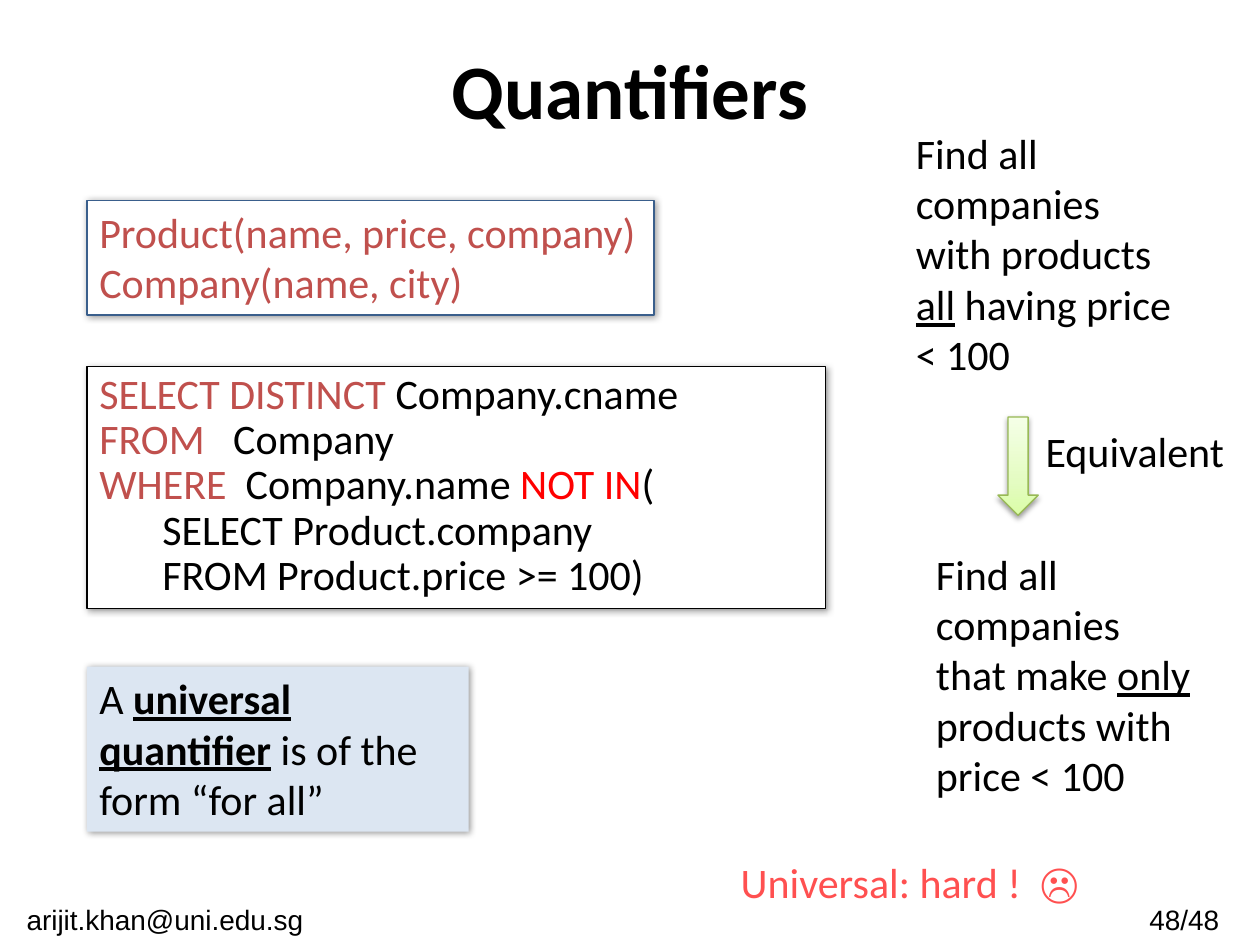
from lxml.etree import SubElement
from pptx import Presentation
from pptx.dml.color import RGBColor
from pptx.enum.shapes import MSO_SHAPE
from pptx.enum.text import MSO_ANCHOR, MSO_AUTO_SIZE, PP_ALIGN
from pptx.oxml import parse_xml
from pptx.oxml.ns import nsdecls, qn
from pptx.util import Inches, Pt

BLACK = RGBColor(0x00, 0x00, 0x00)
WHITE = RGBColor(0xFF, 0xFF, 0xFF)
BRICK = RGBColor(0xC0, 0x50, 0x4D)
RED = RGBColor(0xFF, 0x00, 0x00)
CORAL = RGBColor(0xFF, 0x50, 0x50)
NAVY = RGBColor(0x3A, 0x5F, 0x8C)
PALE_BLUE = RGBColor(0xDC, 0xE6, 0xF2)
GREEN = RGBColor(0x98, 0xB9, 0x55)
ARROW_STOPS = ((0, RGBColor(0xDA, 0xFD, 0xA7)), (35, RGBColor(0xE4, 0xFC, 0xC2)),
               (100, RGBColor(0xF5, 0xFF, 0xE7)))

COLUMN = Inches(0.1)
ROW = Inches(0.1)


def place(box, left, top, width, height):
    return (round((box[0] + left) * COLUMN), round((box[1] + top) * ROW),
            round(width * COLUMN), round(height * ROW))


def write(shape, lines, size=24, font="Calibri", align=PP_ALIGN.LEFT,
          wrap=True, grow=True, spacing=None):
    frame = shape.text_frame
    frame.word_wrap = wrap
    frame.auto_size = MSO_AUTO_SIZE.SHAPE_TO_FIT_TEXT if grow else MSO_AUTO_SIZE.NONE
    for index, line in enumerate(lines):
        paragraph = frame.add_paragraph() if index else frame.paragraphs[0]
        paragraph.alignment = align
        paragraph.line_spacing = spacing
        for text, color, *styles in line:
            run = paragraph.add_run()
            run.text = text
            run.font.name = font
            run.font.size = Pt(size)
            run.font.color.rgb = color
            run.font.bold = "bold" in styles
            run.font.underline = "underline" in styles


def add_text(slide, position, lines, **options):
    write(slide.shapes.add_textbox(*position), lines, **options)


def add_shadow(shape, alpha, blur, distance, angle):
    shape.shadow.inherit = False
    effects = shape._element.spPr.find(qn("a:effectLst"))
    shadow = SubElement(effects, qn("a:outerShdw"), blurRad=str(Pt(blur)),
                        dist=str(Pt(distance)), dir=str(angle * 60000), rotWithShape="0")
    color = SubElement(shadow, qn("a:srgbClr"), val=str(BLACK))
    SubElement(color, qn("a:alpha"), val=str(alpha * 1000))


def add_panel(slide, position, lines, fill, line, **options):
    panel = slide.shapes.add_shape(MSO_SHAPE.RECTANGLE, *position)
    panel.fill.solid()
    panel.fill.fore_color.rgb = fill
    if line is None:
        panel.line.fill.background()
    else:
        panel.line.color.rgb = line
        panel.line.width = Pt(0.75)
    add_shadow(panel, 40, 4, 1, 45)
    panel.text_frame.vertical_anchor = MSO_ANCHOR.TOP
    write(panel, lines, **options)


def add_down_arrow(slide, position):
    arrow = slide.shapes.add_shape(MSO_SHAPE.DOWN_ARROW, *position)
    stops = "".join(f'<a:gs pos="{share * 1000}"><a:srgbClr val="{color}"/></a:gs>'
                    for share, color in ARROW_STOPS)
    gradient = parse_xml(f'<a:gradFill {nsdecls("a")} rotWithShape="1"><a:gsLst>{stops}</a:gsLst>'
                         '<a:lin ang="16200000" scaled="0"/></a:gradFill>')
    arrow._element.spPr.find(qn("a:prstGeom")).addnext(gradient)
    arrow.line.color.rgb = GREEN
    arrow.line.width = Pt(0.75)
    add_shadow(arrow, 38, 3.1, 1.6, 90)


def add_title(slide, box):
    title = slide.shapes.title
    title.left, title.top, title.width, title.height = place(box, 0, 0, 90, 12.5)
    title.text_frame.vertical_anchor = MSO_ANCHOR.MIDDLE
    write(title, [[("Quantifiers", BLACK, "bold")]], size=44,
          align=PP_ALIGN.CENTER, grow=False)


def add_query_column(slide, box):
    schema = [[("Product(name, price, company)", BRICK)], [("Company(name, city)", BRICK)]]
    query = [
        [("SELECT DISTINCT ", BRICK), ("Company.cname", BLACK)],
        [("FROM", BRICK), ("   Company", BLACK)],
        [("WHERE  ", BRICK), ("Company.name ", BLACK), ("NOT IN", RED), ("(", BLACK)],
        [("\tSELECT Product.company", BLACK)],
        [("\tFROM Product.price >= 100)", BLACK)],
    ]
    definition = [[("A ", BLACK), ("universal quantifier", BLACK, "bold", "underline"),
                   (" is of the form “for all”", BLACK)]]
    add_panel(slide, place(box, 0, 0, 45, 9.1), schema, WHITE, NAVY, wrap=False)
    add_panel(slide, place(box, 0, 13.2, 58.6, 19.2), query, WHITE, BLACK, spacing=0.9)
    add_panel(slide, place(box, 0, 37, 30.3, 13.1), definition, PALE_BLUE, None)


def add_meaning_column(slide, box):
    universal = [[("Find all companies with products ", BLACK), ("all", BLACK, "underline"),
                  (" having price < 100", BLACK)]]
    restated = [[("Find all companies that make ", BLACK), ("only ", BLACK, "underline"),
                 ("products with price < 100", BLACK)]]
    add_text(slide, place(box, 0, 0, 22.5, 21.2), universal)
    add_down_arrow(slide, place(box, 7.5, 23.5, 3.2, 7.8))
    add_text(slide, place(box, 10.3, 23.7, 16.3, 5), [[("Equivalent", BLACK)]], wrap=False)
    add_text(slide, place(box, 1.6, 33.4, 22.5, 21.2), restated)


def add_verdict(slide, box):
    add_text(slide, place(box, 0, 0, 28.8, 5), [[("Universal: hard !  ☹", CORAL)]], wrap=False)


def add_footer(slide, box):
    for left, width, text in ((0, 26.8, "arijit.khan@uni.edu.sg "), (88.5, 11.6, "48/48 ")):
        add_text(slide, place(box, left, 0, width, 3.9), [[(text, BLACK)]], size=16,
                 font="Arial", align=PP_ALIGN.CENTER, grow=False)


def main():
    presentation = Presentation()
    presentation.slide_width = 100 * COLUMN
    presentation.slide_height = 75 * ROW
    slide = presentation.slides.add_slide(presentation.slide_layouts[5])
    add_title(slide, (5, 0.8))
    add_query_column(slide, (6.9, 15.9))
    add_meaning_column(slide, (71.7, 9.6))
    add_verdict(slide, (57.8, 67.5))
    add_footer(slide, (0, 71.1))
    presentation.save("out.pptx")


if __name__ == "__main__":
    main()
